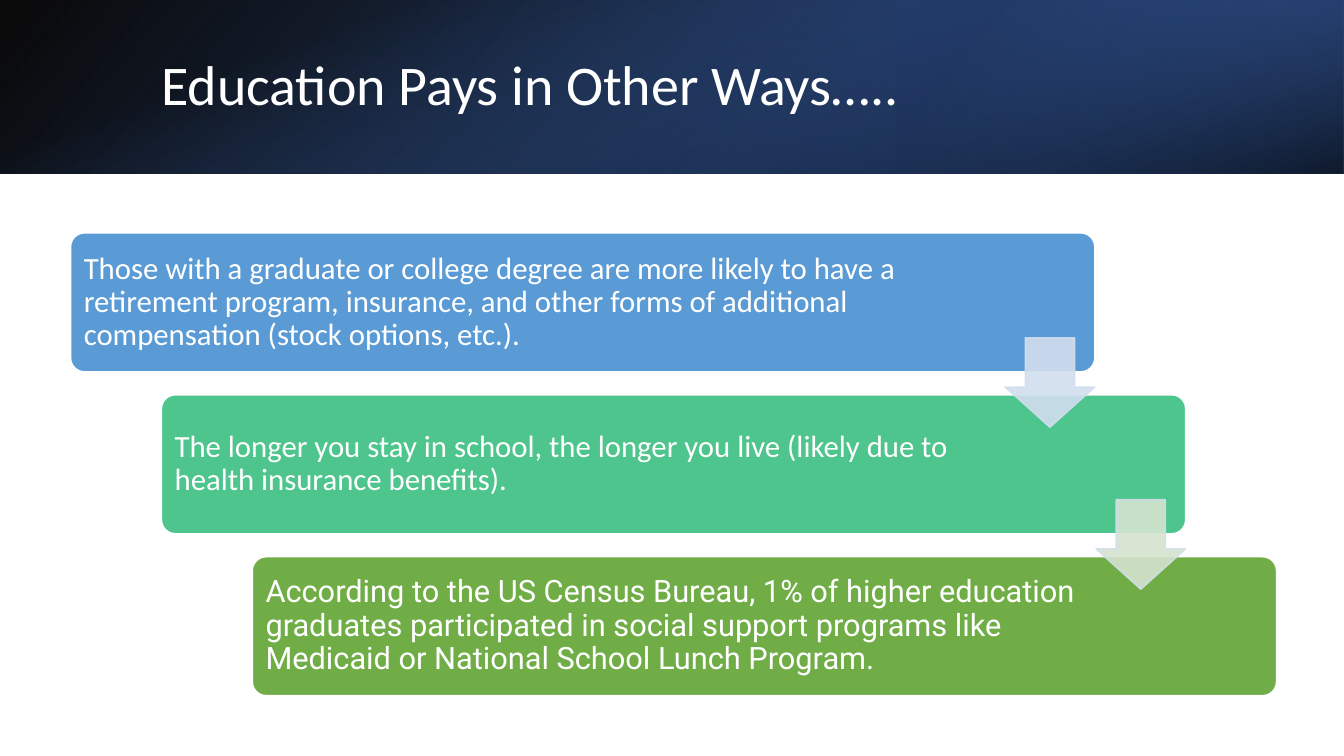
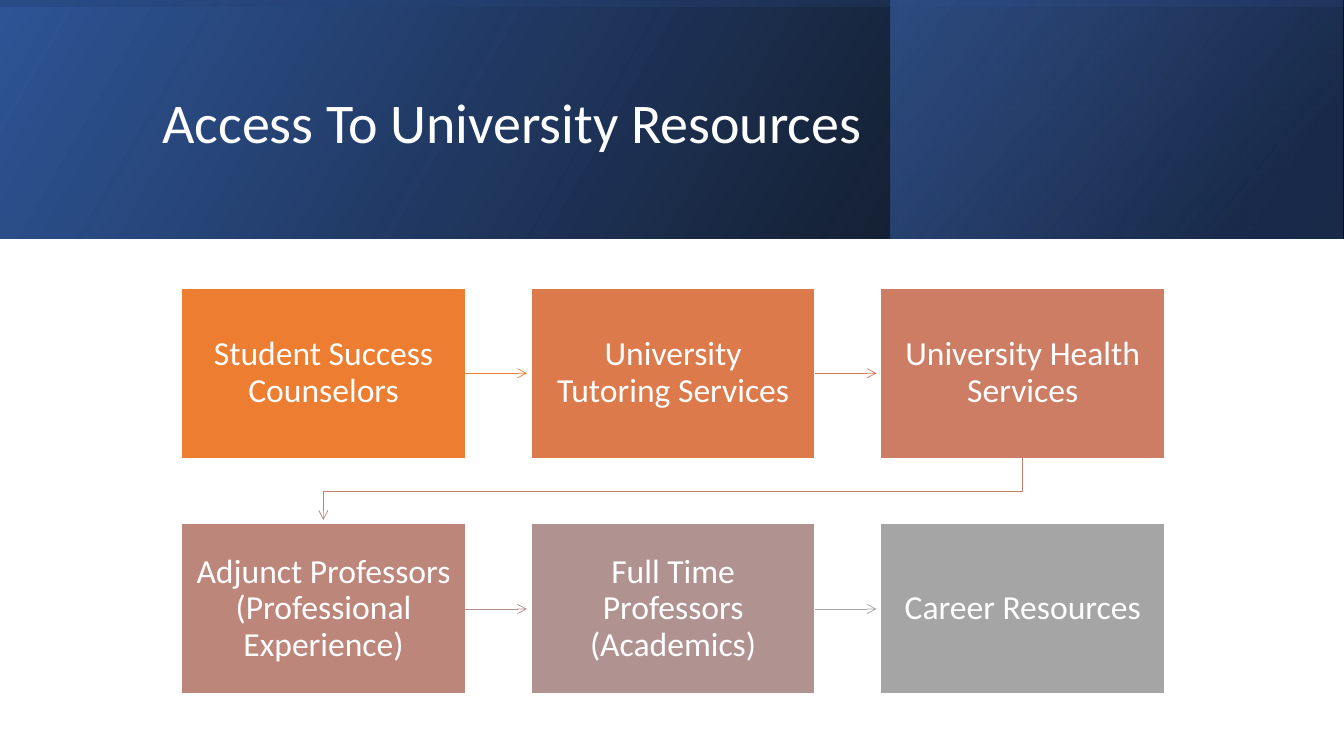
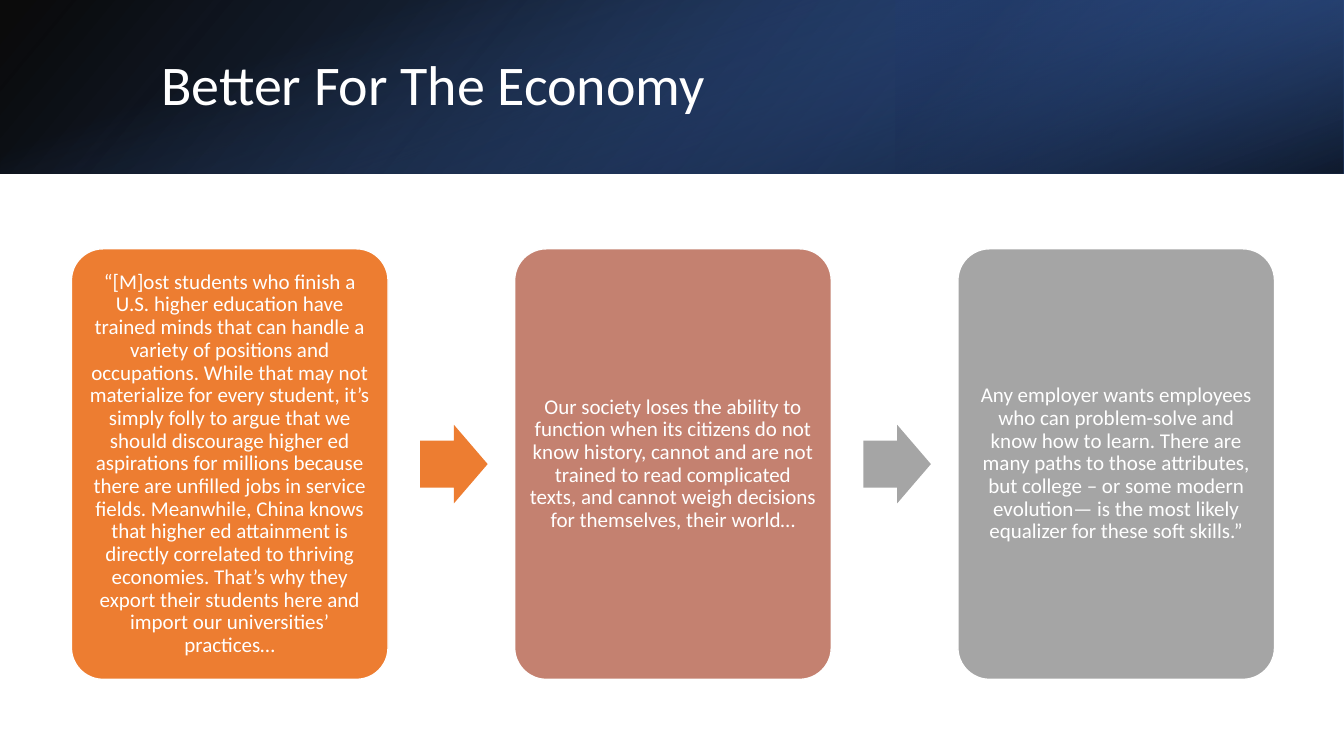
"""Build three slides on the benefits of higher education."""
import dataclasses
import itertools

import lxml.etree
import pptx
import pptx.dml.color
import pptx.enum.shapes
import pptx.enum.text
import pptx.oxml.ns
import pptx.shapes.autoshape
import pptx.shapes.base
import pptx.slide
import pptx.util

Cm = pptx.util.Cm
Pt = pptx.util.Pt
RGBColor = pptx.dml.color.RGBColor
Preset = pptx.enum.shapes.MSO_SHAPE
Align = pptx.enum.text.PP_ALIGN
qn = pptx.oxml.ns.qn

WHITE = RGBColor(0xFF, 0xFF, 0xFF)
BLACK = RGBColor(0x00, 0x00, 0x00)
NAVY = RGBColor(0x20, 0x38, 0x64)
ROYAL = RGBColor(0x2F, 0x55, 0x97)
BLUE = RGBColor(0x44, 0x72, 0xC4)
SKY = RGBColor(0x5B, 0x9B, 0xD5)
MINT = RGBColor(0x4D, 0xC5, 0x8D)
GREEN = RGBColor(0x70, 0xAD, 0x47)
PALE_BLUE = RGBColor(0xD2, 0xDE, 0xEF)
PALE_GREEN = RGBColor(0xD5, 0xE3, 0xCF)
ORANGE = RGBColor(0xED, 0x7D, 0x31)
COPPER = RGBColor(0xDC, 0x7A, 0x4B)
CLAY = RGBColor(0xD8, 0x7A, 0x51)
CORAL = RGBColor(0xCC, 0x7D, 0x64)
ROSE = RGBColor(0xC4, 0x81, 0x70)
DUSK = RGBColor(0xBD, 0x86, 0x7B)
TAUPE = RGBColor(0xB4, 0x90, 0x8B)
MAUVE = RGBColor(0xB0, 0x93, 0x91)
GRAY = RGBColor(0xA5, 0xA5, 0xA5)

FONT = "Calibri"
PAGE_WIDTH, PAGE_HEIGHT = 33.87, 19.05


@dataclasses.dataclass(frozen=True)
class Frame:
    """A rectangle in centimetres."""
    left: float
    top: float
    width: float
    height: float

    @property
    def right(self) -> float:
        return self.left + self.width

    @property
    def bottom(self) -> float:
        return self.top + self.height

    def lengths(self) -> tuple:
        return Cm(self.left), Cm(self.top), Cm(self.width), Cm(self.height)


@dataclasses.dataclass(frozen=True)
class Stop:
    """A gradient stop; position and opacity are percentages."""
    position: int
    color: RGBColor
    opacity: int


@dataclasses.dataclass(frozen=True)
class Band:
    """One gradient layer of a header."""
    left: float
    width: float
    angle: int
    stops: tuple[Stop, Stop]
    rotation: int = 0
    flipped: bool = True


@dataclasses.dataclass(frozen=True)
class Header:
    """The layered band and the title place of a slide."""
    height: float
    title: Frame
    bands: tuple[Band, ...]


@dataclasses.dataclass(frozen=True)
class Card:
    """A filled box with its text."""
    text: str
    color: RGBColor
    font: str = FONT
    right_inset: float = 0.15


@dataclasses.dataclass(frozen=True)
class CardStyle:
    """The look shared by the cards of one slide."""
    preset: Preset
    size: int
    align: Align
    inset: float


BASE_STOPS = (Stop(0, BLACK, 96), Stop(100, ROYAL, 100))
LOW_HEADER = Header(4.37, Frame(3.81, 0.97, 27.89, 2.44), (
    Band(0, PAGE_WIDTH, 220, BASE_STOPS),
    Band(22.58, 11.29, 40, (Stop(19, NAVY, 68), Stop(100, BLUE, 79)), 180),
    Band(0, PAGE_WIDTH, 20, (Stop(23, BLUE, 0), Stop(99, BLACK, 74)), 90, False),
))
TALL_HEADER = Header(6.02, Frame(3.84, 0.97, 27, 4.37), (
    Band(0, PAGE_WIDTH, 30, BASE_STOPS),
    Band(22.45, 11.38, 40, (Stop(19, NAVY, 68), Stop(100, BLUE, 48))),
    Band(0, PAGE_WIDTH, 10, (Stop(23, ROYAL, 16), Stop(99, BLACK, 45)), 270),
))

REASONS = (
    Card("Those with a graduate or college degree are more likely to have a retirement program, "
         "insurance, and other forms of additional compensation (stock options, etc.).",
         SKY, right_inset=3.81),
    Card("The longer you stay in school, the longer you live (likely due to health insurance "
         "benefits).", MINT, right_inset=4.78),
    Card("According to the US Census Bureau, 1% of higher education graduates participated in "
         "social support programs like Medicaid or National School Lunch Program.",
         GREEN, "Roboto", 4.78),
)
RESOURCES = (
    Card("Student Success Counselors", ORANGE, right_inset=0.36),
    Card("University Tutoring Services", COPPER, right_inset=0.36),
    Card("University Health Services", CORAL, right_inset=0.36),
    Card("Adjunct Professors (Professional Experience)", DUSK, right_inset=0.36),
    Card("Full Time Professors (Academics)", MAUVE, right_inset=0.36),
    Card("Career Resources", GRAY, right_inset=0.36),
)
RESOURCE_LINKS = (ORANGE, CLAY, ROSE, TAUPE, GRAY)
QUOTES = (
    Card("“[M]ost students who finish a U.S. higher education have trained minds that can handle "
         "a variety of positions and occupations. While that may not materialize for every "
         "student, it’s simply folly to argue that we should discourage higher ed aspirations "
         "for millions because there are unfilled jobs in service fields. Meanwhile, China knows "
         "that higher ed attainment is directly correlated to thriving economies. That’s why "
         "they export their students here and import our universities’ practices…", ORANGE),
    Card("Our society loses the ability to function when its citizens do not know history, cannot "
         "and are not trained to read complicated texts, and cannot weigh decisions for "
         "themselves, their world…", ROSE),
    Card("Any employer wants employees who can problem-solve and know how to learn. There are "
         "many paths to those attributes, but college – or some modern evolution— is the most "
         "likely equalizer for these soft skills.”", GRAY),
)


def set_opacity(shape: pptx.shapes.base.BaseShape, *opacities: int) -> None:
    """Give the colours of a shape, in order, an opacity in percent."""
    for color, opacity in zip(shape.element.spPr.iter(qn("a:srgbClr")), opacities):
        lxml.etree.SubElement(color, qn("a:alpha"), val=str(opacity * 1000))


def add_preset(page: pptx.slide.Slide, preset: Preset, frame: Frame,
               color: RGBColor | None = None) -> pptx.shapes.autoshape.Shape:
    """Add a flat preset shape without an outline."""
    shape = page.shapes.add_shape(preset, *frame.lengths())
    shape.shadow.inherit = False
    shape.line.fill.background()
    if color is not None:
        shape.fill.solid()
        shape.fill.fore_color.rgb = color
    return shape


def add_band(page: pptx.slide.Slide, band: Band, height: float) -> None:
    """Draw one gradient layer across the top of the page."""
    frame = Frame(band.left, 0, band.width, height)
    if band.rotation in (90, 270):
        shift = (band.width - height) / 2
        frame = Frame(band.left + shift, -shift, height, band.width)
    shape = add_preset(page, Preset.RECTANGLE, frame)
    shape.rotation = band.rotation
    if band.flipped:
        shape.element.spPr.find(qn("a:xfrm")).set("flipH", "1")
    shape.fill.gradient()
    shape.fill.gradient_angle = band.angle
    for gradient_stop, stop in zip(shape.fill.gradient_stops, band.stops):
        gradient_stop.position = stop.position / 100
        gradient_stop.color.rgb = stop.color
    set_opacity(shape, *(stop.opacity for stop in band.stops))


def write(shape: pptx.shapes.autoshape.Shape, text: str, font: str, size: int,
          align: Align) -> None:
    """Put one white, vertically centred paragraph into a shape."""
    box = shape.text_frame
    box.text = text
    box.word_wrap = True
    box.auto_size = pptx.enum.text.MSO_AUTO_SIZE.NONE
    box.vertical_anchor = pptx.enum.text.MSO_ANCHOR.MIDDLE
    para = box.paragraphs[0]
    para.alignment = align
    para.line_spacing = 0.9
    para.font.name = font
    para.font.size = Pt(size)
    para.font.color.rgb = WHITE


def add_page(deck: pptx.presentation.Presentation, header: Header,
             text: str) -> pptx.slide.Slide:
    """Add a title-only slide with its header band."""
    page = deck.slides.add_slide(deck.slide_layouts[5])
    for band in header.bands:
        add_band(page, band, header.height)
    title = page.shapes.title
    title.left, title.top, title.width, title.height = header.title.lengths()
    title.element.getparent().append(title.element)
    write(title, text, FONT, 40, Align.LEFT)
    return page


def add_card(page: pptx.slide.Slide, card: Card, frame: Frame,
             style: CardStyle) -> pptx.shapes.autoshape.Shape:
    """Draw a card with a white outline and its text."""
    shape = add_preset(page, style.preset, frame, card.color)
    shape.line.color.rgb = WHITE
    shape.line.width = Pt(1)
    if style.preset == Preset.ROUNDED_RECTANGLE:
        shape.adjustments[0] = 0.1
    write(shape, card.text, card.font, style.size, style.align)
    box = shape.text_frame
    box.margin_left = box.margin_top = box.margin_bottom = Cm(style.inset)
    box.margin_right = Cm(card.right_inset)
    return shape


def add_block_arrow(page: pptx.slide.Slide, preset: Preset, frame: Frame, color: RGBColor,
                    shaft: float, point: float) -> pptx.shapes.autoshape.Shape:
    """Draw a block arrow with the given proportions."""
    arrow = add_preset(page, preset, frame, color)
    arrow.adjustments[0] = shaft
    arrow.adjustments[1] = point
    return arrow


def style_link(link: pptx.shapes.base.BaseShape, color: RGBColor) -> None:
    """Make a thin line with an open arrowhead at its end."""
    link.line.color.rgb = color
    link.line.width = Pt(0.5)
    properties = link.element.spPr
    lxml.etree.SubElement(properties.find(qn("a:ln")), qn("a:tailEnd"), type="arrow")
    if properties.find(qn("a:effectLst")) is None:
        lxml.etree.SubElement(properties, qn("a:effectLst"))


def add_row_link(page: pptx.slide.Slide, box: pptx.shapes.autoshape.Shape, start: Frame,
                 end: Frame, color: RGBColor) -> None:
    """Link a box to its right neighbour, stopping just short of it."""
    middle = Cm(start.top + start.height / 2)
    link = page.shapes.add_connector(pptx.enum.shapes.MSO_CONNECTOR.STRAIGHT, Cm(start.right),
                                     middle, Cm(end.left - 0.1), middle)
    link.begin_connect(box, 3)
    style_link(link, color)


def add_wrap_link(page: pptx.slide.Slide, start: Frame, end: Frame, color: RGBColor) -> None:
    """Link the end of one row to the start of the next."""
    start_x, end_x = (Cm(frame.left + frame.width / 2) for frame in (start, end))
    bend = Cm((start.bottom + end.top) / 2)
    outline = page.shapes.build_freeform(start_x, Cm(start.bottom))
    outline.add_line_segments(
        [(start_x, bend), (end_x, bend), (end_x, Cm(end.top - 0.1))], close=False)
    link = outline.convert_to_shape()
    link.shadow.inherit = False
    link.fill.background()
    style_link(link, color)


def build_reasons(deck: pptx.presentation.Presentation) -> None:
    """Build the staircase of reasons."""
    page = add_page(deck, LOW_HEADER, "Education Pays in Other Ways…..")
    style = CardStyle(Preset.ROUNDED_RECTANGLE, 22, Align.LEFT, 0.23)
    frames = [Frame(1.78 + 2.29 * step, 5.87 + 4.08 * step, 25.81, 3.5)
              for step in range(len(REASONS))]
    for card, frame in zip(REASONS, frames):
        add_card(page, card, frame, style)
    side = 2.26
    for frame, color in zip(frames, (PALE_BLUE, PALE_GREEN)):
        place = Frame(frame.right - side, frame.top + 2.64, side, side)
        arrow = add_block_arrow(page, Preset.DOWN_ARROW, place, color, 0.55, 0.45)
        arrow.line.color.rgb = PALE_BLUE
        arrow.line.width = Pt(1)
        set_opacity(arrow, 90, 90)


def build_resources(deck: pptx.presentation.Presentation) -> None:
    """Build the two-row chain of resources."""
    page = add_page(deck, TALL_HEADER, "Access To University Resources")
    style = CardStyle(Preset.RECTANGLE, 24, Align.CENTER, 0.37)
    frames = [Frame(4.57 + 8.81 * column, 7.26 + 5.94 * row, 7.16, 4.29)
              for row, column in itertools.product(range(2), range(3))]
    boxes = [add_card(page, card, frame, style) for card, frame in zip(RESOURCES, frames)]
    for box, start, end, color in zip(boxes, frames, frames[1:], RESOURCE_LINKS):
        if start.top == end.top:
            add_row_link(page, box, start, end, color)
        else:
            add_wrap_link(page, start, end, color)


def build_economy(deck: pptx.presentation.Presentation) -> None:
    """Build the row of quotations."""
    page = add_page(deck, LOW_HEADER, "Better For The Economy")
    style = CardStyle(Preset.ROUNDED_RECTANGLE, 15, Align.CENTER, 0.15)
    frames = [Frame(1.8 + 11.17 * column, 6.27, 7.98, 10.85) for column in range(len(QUOTES))]
    for card, frame in zip(QUOTES, frames):
        add_card(page, card, frame, style)
    width, height = 1.7, 1.98
    for frame, color in zip(frames, (ORANGE, GRAY)):
        place = Frame(frame.right + 0.81, frame.top + (frame.height - height) / 2, width, height)
        add_block_arrow(page, Preset.RIGHT_ARROW, place, color, 0.6, 0.5)


def main() -> None:
    """Build and save the deck."""
    deck = pptx.Presentation()
    deck.slide_width, deck.slide_height = Cm(PAGE_WIDTH), Cm(PAGE_HEIGHT)
    build_reasons(deck)
    build_resources(deck)
    build_economy(deck)
    deck.save("out.pptx")


if __name__ == "__main__":
    main()
